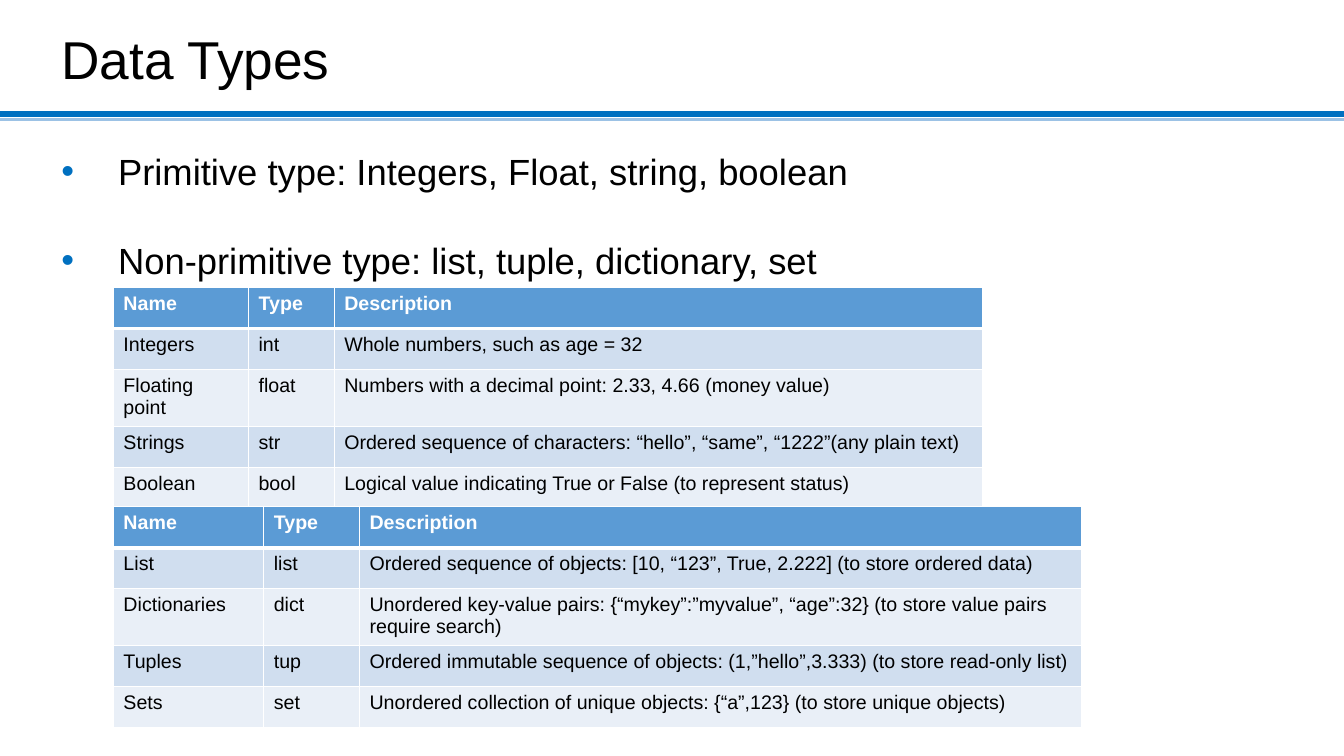
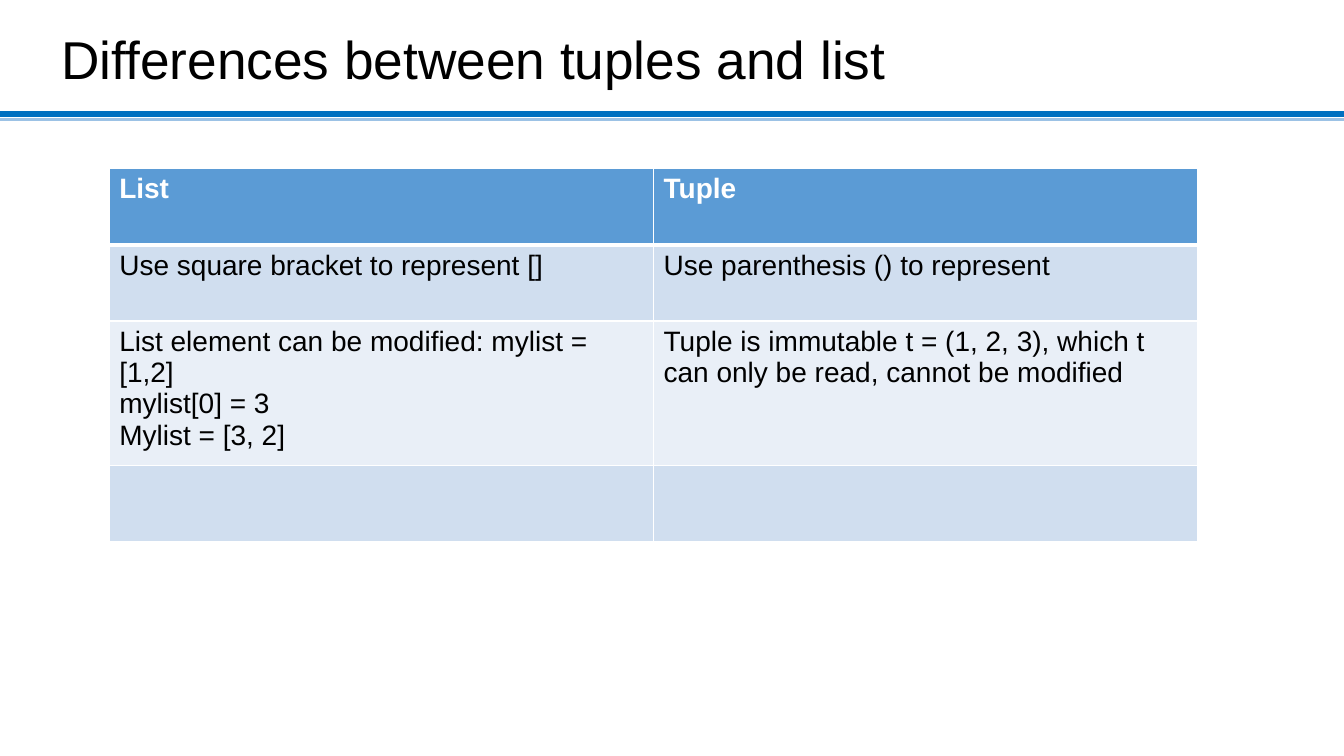
from lxml import etree
from pptx import Presentation
from pptx.dml.color import RGBColor
from pptx.enum.shapes import MSO_CONNECTOR
from pptx.enum.text import MSO_ANCHOR
from pptx.oxml.ns import qn
from pptx.util import Pt

STRAIGHT = MSO_CONNECTOR.STRAIGHT
TOP = MSO_ANCHOR.TOP
BOTTOM = MSO_ANCHOR.BOTTOM

FONT = "Arial"
SLIDE_W, SLIDE_H = 960, 540
TITLE_BOX = (36.7, 20.2, 653.8, 48.2)
COLORS = {
    "text": "000000",
    "white": "FFFFFF",
    "rule": "0070C0",
    "rule_light": "9CC2E5",
    "header": "5B9BD5",
    "band_dark": "D0DEEF",
    "band_light": "E9EFF7",
}

BULLETS = [
    "Primitive type: Integers, Float, string, boolean",
    "Non-primitive type: list, tuple, dictionary, set",
]
PRIMITIVES = [
    ("Name", "Type", "Description"),
    ("Integers", "int", "Whole numbers, such as age = 32"),
    ("Floating point", "float", "Numbers with a decimal point: 2.33, 4.66 (money value)"),
    ("Strings", "str", "Ordered sequence of characters: “hello”, “same”, “1222”(any plain text)"),
    ("Boolean", "bool", "Logical value indicating True or False (to represent status)"),
]
COLLECTIONS = [
    ("Name", "Type", "Description"),
    ("List", "list", "Ordered sequence of objects: [10, “123”, True, 2.222] (to store ordered data)"),
    ("Dictionaries", "dict",
     "Unordered key-value pairs: {“mykey”:”myvalue”, “age”:32} (to store value pairs require search)"),
    ("Tuples", "tup", "Ordered immutable sequence of objects: (1,”hello”,3.333) (to store read-only list)"),
    ("Sets", "set", "Unordered collection of unique objects: {“a”,123} (to store unique objects)"),
]
COMPARISON = [
    ("List", "Tuple"),
    ("Use square bracket to represent []", "Use parenthesis () to represent"),
    ("List element can be modified: mylist = [1,2]\nmylist[0] = 3\nMylist = [3, 2]",
     "Tuple is immutable t = (1, 2, 3), which t can only be read, cannot be modified"),
    ("", ""),
]


def rgb(name):
    return RGBColor.from_string(COLORS[name])


def write(tf, text, size=14, color="text", bold=False, line_spacing=None, gap=0):
    for i, line in enumerate(text.split("\n")):
        p = tf.add_paragraph() if i else tf.paragraphs[0]
        p.font.size = Pt(size)
        if line_spacing:
            p.line_spacing = line_spacing
        if i and gap:
            p.space_before = Pt(gap)
        if line:
            r = p.add_run()
            r.text = line
            r.font.name = FONT
            r.font.size = Pt(size)
            r.font.bold = bold
            r.font.color.rgb = rgb(color)


def add_textbox(slide, box, anchor=TOP):
    tf = slide.shapes.add_textbox(*map(Pt, box)).text_frame
    tf.word_wrap = True
    tf.vertical_anchor = anchor
    return tf


def add_rule(slide, y, color, width):
    line = slide.shapes.add_connector(STRAIGHT, Pt(0), Pt(y), Pt(SLIDE_W), Pt(y))
    line.line.color.rgb = rgb(color)
    line.line.width = Pt(width)
    etree.SubElement(line._element.spPr, qn("a:effectLst"))


def add_titled_slide(prs, title):
    slide = prs.slides.add_slide(prs.slide_layouts[6])
    add_rule(slide, 85.6, "rule_light", 2.25)
    add_rule(slide, 81.4, "rule", 4.5)
    write(add_textbox(slide, TITLE_BOX, BOTTOM), title, size=38, line_spacing=0.9)
    return slide


def add_bullets(slide, box, lines, indent=40.5):
    tf = add_textbox(slide, box)
    write(tf, "\n".join(lines), size=26, gap=32)
    for p in tf.paragraphs:
        pPr = p._p.get_or_add_pPr()
        pPr.set("marL", str(Pt(indent)))
        pPr.set("indent", str(-Pt(indent)))
        color = etree.Element(qn("a:buClr"))
        etree.SubElement(color, qn("a:srgbClr"), val=COLORS["rule"])
        font = etree.Element(qn("a:buFont"), typeface=FONT)
        char = etree.Element(qn("a:buChar"), char="•")
        at = len(pPr.findall(qn("a:spcBef")))
        pPr[at:at] = [color, font, char]


def set_borders(cell, **widths):
    tcPr = cell._tc.get_or_add_tcPr()
    for side in "LRTB":
        ln = etree.SubElement(tcPr, qn("a:ln" + side), w=str(Pt(widths.get(side, 1))))
        fill = etree.SubElement(ln, qn("a:solidFill"))
        etree.SubElement(fill, qn("a:srgbClr"), val=COLORS["white"])


def add_banded_table(slide, left, top, col_widths, row_height, rows, size=14):
    table = slide.shapes.add_table(
        len(rows), len(col_widths), Pt(left), Pt(top),
        Pt(sum(col_widths)), Pt(row_height * len(rows))).table
    for col, width in zip(table.columns, col_widths):
        col.width = Pt(width)
    for i, values in enumerate(rows):
        table.rows[i].height = Pt(row_height)
        header = i == 0
        band = "header" if header else "band_dark" if i % 2 else "band_light"
        for j, text in enumerate(values):
            cell = table.cell(i, j)
            set_borders(cell, B=3 if header else 1, T=3 if i == 1 else 1)
            cell.fill.solid()
            cell.fill.fore_color.rgb = rgb(band)
            write(cell.text_frame, text, size=size, bold=header,
                  color="white" if header else "text")


def build_data_types(prs):
    slide = add_titled_slide(prs, "Data Types")
    add_bullets(slide, (36.7, 103, 890, 101.5), BULLETS)
    add_banded_table(slide, 81, 205.4, (96.5, 61.2, 463), 29.25, PRIMITIVES)
    add_banded_table(slide, 81, 362, (107.4, 68.4, 515.6), 29.25, COLLECTIONS)


def build_differences(prs):
    slide = add_titled_slide(prs, "Differences between tuples and list")
    add_banded_table(slide, 78, 120.4, (388.8, 388.8), 54.5, COMPARISON, size=20)


def main():
    prs = Presentation()
    prs.slide_width, prs.slide_height = Pt(SLIDE_W), Pt(SLIDE_H)
    build_data_types(prs)
    build_differences(prs)
    prs.save("out.pptx")


if __name__ == "__main__":
    main()
